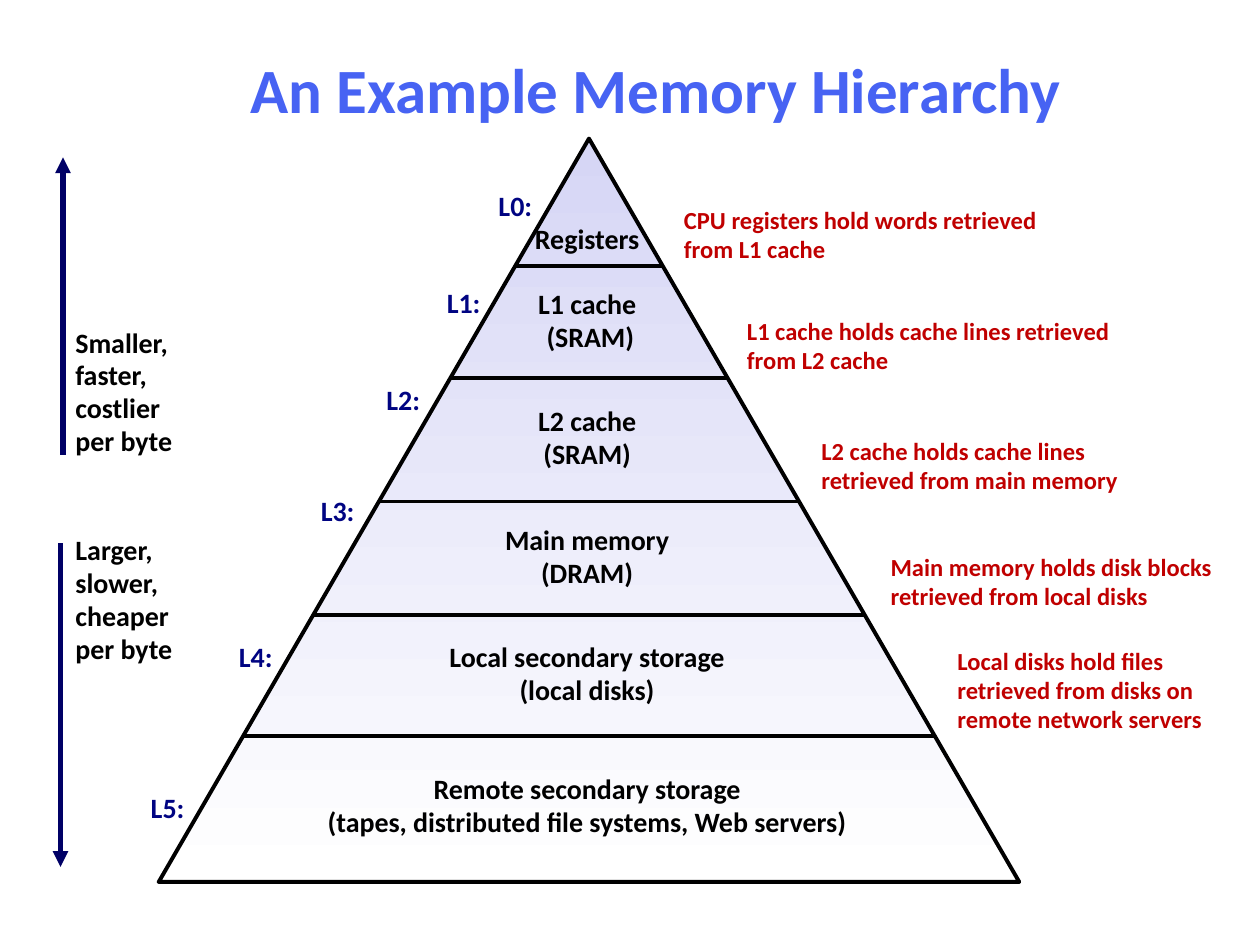
from dataclasses import dataclass
from typing import Optional

from lxml import etree
from pptx import Presentation
from pptx.dml.color import RGBColor
from pptx.enum import shapes, text
from pptx.oxml.ns import qn
from pptx.util import Inches, Pt

BLACK = RGBColor(0x00, 0x00, 0x00)
WHITE = RGBColor(0xFF, 0xFF, 0xFF)
LAVENDER = RGBColor(0xD6, 0xD6, 0xF5)
TITLE_BLUE = RGBColor(0x47, 0x63, 0xF3)
LABEL_BLUE = RGBColor(0x00, 0x04, 0x82)
ARROW_BLUE = RGBColor(0x00, 0x00, 0x66)
RED = RGBColor(0xC0, 0x00, 0x00)

FONT = "Calibri"
LEFT, CENTER = text.PP_ALIGN.LEFT, text.PP_ALIGN.CENTER

PYRAMID_LEFT, PYRAMID_TOP = 1.26, 1.1
PYRAMID_WIDTH, PYRAMID_HEIGHT = 6.83, 5.9
APEX_X = PYRAMID_LEFT + PYRAMID_WIDTH / 2
NAME_CENTER_X = 4.66
LABEL_WIDTH, LABEL_HEIGHT = 0.5, 0.36


@dataclass(frozen=True)
class Box:
    left: float
    top: float
    width: float
    height: float


@dataclass(frozen=True)
class Caption:
    words: str
    box: Box


@dataclass(frozen=True)
class Level:
    name: str
    name_top: float
    name_width: float
    label_left: float
    label_top: float
    floor: Optional[float] = None
    caption: Optional[Caption] = None


@dataclass(frozen=True)
class Trend:
    words: str
    box: Box
    arrow_x: float
    arrow_start: float
    arrow_end: float


LEVELS = [
    Level("Registers", 1.72, 1.04, 3.84, 1.46, 2.11,
          Caption("CPU registers hold words retrieved from L1 cache",
                  Box(5.33, 1.59, 3.19, 0.56))),
    Level("L1 cache\n (SRAM)", 2.24, 0.98, 3.43, 2.23, 3.0,
          Caption("L1 cache holds cache lines retrieved from L2 cache",
                  Box(5.83, 2.47, 3.1, 0.56))),
    Level("L2 cache\n(SRAM)", 3.17, 0.98, 2.95, 3.0, 3.98,
          Caption("L2 cache holds cache lines retrieved from main memory",
                  Box(6.42, 3.42, 2.88, 0.56))),
    Level("Main memory\n(DRAM)", 4.11, 1.5, 2.43, 3.88, 4.88,
          Caption("Main memory holds disk blocks retrieved from local disks",
                  Box(6.97, 4.34, 3.0, 0.56))),
    Level("Local secondary storage\n(local disks)", 5.04, 2.4, 1.78, 5.04, 5.84,
          Caption("Local disks hold files retrieved from disks on remote network servers",
                  Box(7.5, 5.09, 2.26, 0.79))),
    Level("Remote secondary storage\n(tapes, distributed file systems, Web servers)",
          6.09, 4.34, 1.08, 6.24),
]

TRENDS = [
    Trend("Smaller,\nfaster,\ncostlier\nper byte", Box(0.5, 2.54, 0.97, 1.15), 0.5, 3.61, 1.25),
    Trend("Larger,\nslower,\ncheaper\nper byte", Box(0.5, 4.19, 0.99, 1.15), 0.48, 4.31, 6.88),
]


def add_text(slide, words: str, box: Box, size: float, color: RGBColor,
             alignment=LEFT, wrap: bool = False, spacing: float = 0.98,
             auto_size=text.MSO_AUTO_SIZE.SHAPE_TO_FIT_TEXT) -> None:
    shape = slide.shapes.add_textbox(Inches(box.left), Inches(box.top),
                                     Inches(box.width), Inches(box.height))
    frame = shape.text_frame
    frame.text = words
    frame.word_wrap = wrap
    frame.auto_size = auto_size
    frame.vertical_anchor = text.MSO_ANCHOR.MIDDLE
    for paragraph in frame.paragraphs:
        paragraph.alignment = alignment
        paragraph.line_spacing = spacing
        for run in paragraph.runs:
            run.font.name = FONT
            run.font.size = Pt(size)
            run.font.bold = True
            run.font.color.rgb = color


def add_line(slide, start: tuple[float, float], end: tuple[float, float],
             color: RGBColor, width: float, arrow: bool = False) -> None:
    connector = slide.shapes.add_connector(
        shapes.MSO_CONNECTOR.STRAIGHT, *map(Inches, start + end))
    connector.line.color.rgb = color
    connector.line.width = Pt(width)
    if arrow:
        etree.SubElement(connector.line._get_or_add_ln(), qn("a:tailEnd"), type="triangle")
    etree.SubElement(connector._element.spPr, qn("a:effectLst"))


def add_pyramid(slide) -> None:
    pyramid = slide.shapes.add_shape(
        shapes.MSO_SHAPE.ISOSCELES_TRIANGLE, Inches(PYRAMID_LEFT), Inches(PYRAMID_TOP),
        Inches(PYRAMID_WIDTH), Inches(PYRAMID_HEIGHT))
    pyramid.shadow.inherit = False
    pyramid.fill.gradient()
    pyramid.fill.gradient_angle = 270
    for stop, color in zip(pyramid.fill.gradient_stops, (LAVENDER, WHITE)):
        stop.color.rgb = color
    pyramid.line.color.rgb = BLACK
    pyramid.line.width = Pt(2.25)


def add_floor(slide, y: float) -> None:
    """Draw a divider between the two sloping sides at height y."""
    half = (y - PYRAMID_TOP) / PYRAMID_HEIGHT * PYRAMID_WIDTH / 2
    add_line(slide, (APEX_X - half, y), (APEX_X + half, y), BLACK, 2)


def add_level(slide, number: int, level: Level) -> None:
    name_height = 0.62 if "\n" in level.name else 0.36
    name_box = Box(NAME_CENTER_X - level.name_width / 2, level.name_top,
                   level.name_width, name_height)
    label_box = Box(level.label_left, level.label_top, LABEL_WIDTH, LABEL_HEIGHT)
    add_text(slide, level.name, name_box, 16, BLACK, CENTER)
    add_text(slide, f"L{number}:", label_box, 16, LABEL_BLUE, CENTER)
    if level.floor is not None:
        add_floor(slide, level.floor)
    if level.caption is not None:
        add_text(slide, level.caption.words, level.caption.box, 14, RED, wrap=True)


def add_trend(slide, trend: Trend) -> None:
    add_text(slide, trend.words, trend.box, 16, BLACK)
    add_line(slide, (trend.arrow_x, trend.arrow_start), (trend.arrow_x, trend.arrow_end),
             ARROW_BLUE, 3, arrow=True)


def main() -> None:
    presentation = Presentation()
    presentation.slide_width, presentation.slide_height = Inches(10), Inches(7.5)
    slide = presentation.slides.add_slide(presentation.slide_layouts[6])
    add_text(slide, "An Example Memory Hierarchy", Box(0.44, 0.27, 9.53, 0.86),
             36, TITLE_BLUE, CENTER, wrap=True, spacing=1.0,
             auto_size=text.MSO_AUTO_SIZE.NONE)
    add_pyramid(slide)
    for number, level in enumerate(LEVELS):
        add_level(slide, number, level)
    for trend in TRENDS:
        add_trend(slide, trend)
    presentation.save("out.pptx")


if __name__ == "__main__":
    main()
